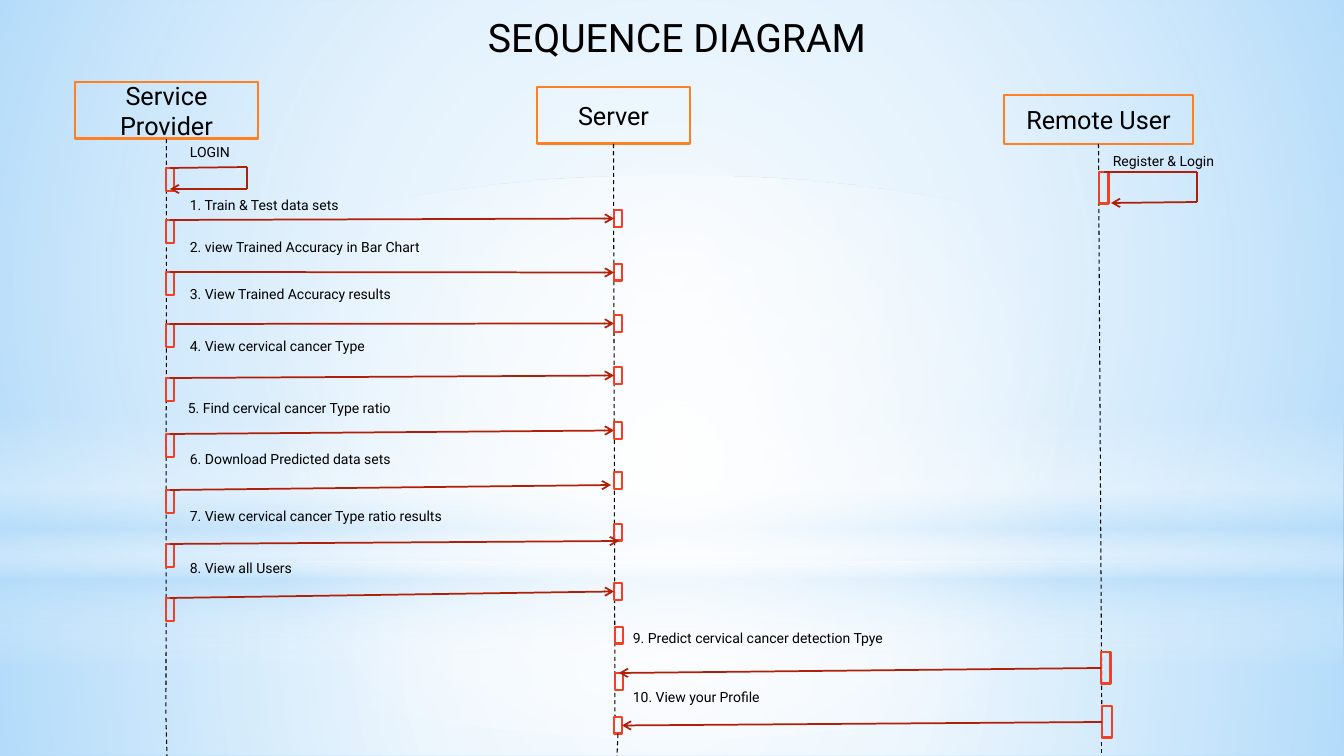
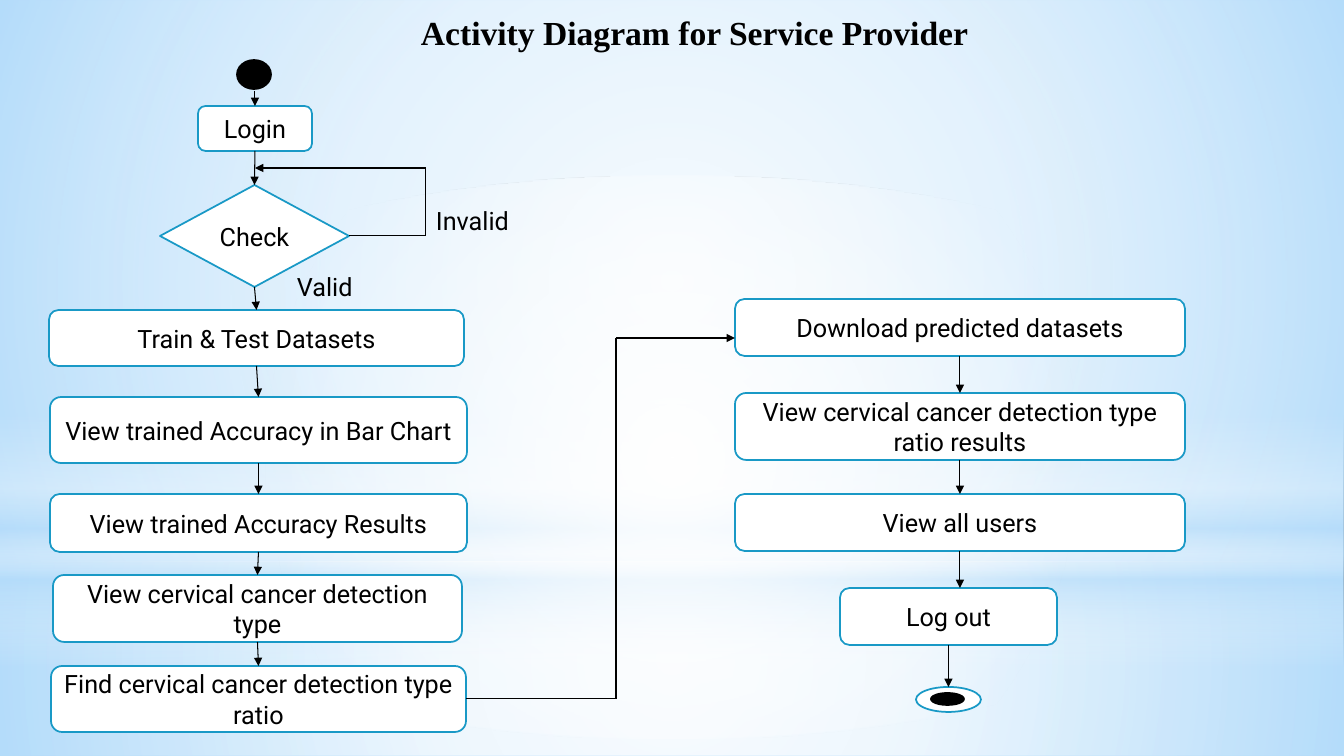
from lxml.etree import SubElement
from pptx import Presentation
from pptx.dml.color import RGBColor
from pptx.enum.dml import MSO_LINE
from pptx.enum.shapes import MSO_CONNECTOR, MSO_SHAPE as SHAPE
from pptx.enum.text import MSO_ANCHOR, MSO_AUTO_SIZE, PP_ALIGN
from pptx.oxml import parse_xml
from pptx.oxml.ns import nsdecls, qn
from pptx.util import Emu, Pt

WIDTH, HEIGHT = 1344, 756
TOP, LEFT, BOTTOM, RIGHT = range(4)


def px(n):
    return Emu(round(n * 914400 / 100.8))


def rgb(value):
    return RGBColor.from_string(value)


class Deck:
    font = "Roboto"
    ink, white, sky = "000000", "FFFFFF", "B4DCFA"
    header, bar_red, message_red, node_blue = "FF8021", "F14124", "B01F07", "1999C6"
    radial = ('<a:path path="circle"><a:fillToRect l="50000" t="50000" '
              'r="50000" b="50000"/></a:path>')
    vertical = '<a:lin ang="5400000" scaled="0"/>'

    def __init__(self):
        self.prs = Presentation()
        self.prs.slide_width, self.prs.slide_height = px(WIDTH), px(HEIGHT)
        self.s = None

    def slide(self):
        first = self.s is None
        self.s = self.prs.slides.add_slide(self.prs.slide_layouts[6])
        if first:
            self.backdrop()

    def backdrop(self):
        master = self.prs.slide_master
        fill = master.background.fill
        fill.solid()
        fill.fore_color.rgb = rgb(self.sky)
        w, b = self.white, self.sky
        layers = [
            (SHAPE.RECTANGLE, (0, 562, WIDTH, 194), self.radial,
             [(0, w, 91), (37, w, 76), (100, b, 79)]),
            (SHAPE.RECTANGLE, (0, 0, WIDTH, 562), self.radial,
             [(0, w, 89), (48, w, 62), (100, b, 79)]),
            (SHAPE.RECTANGLE, (0, 415, WIDTH, 252), self.vertical,
             [(0, w, 0), (29, w, 30), (45, b, 40), (55, w, 26), (65, b, 60), (100, w, 0)]),
            (SHAPE.OVAL, (0, 176, WIDTH, 562), self.radial,
             [(0, w, 100), (56, w, 0)]),
        ]
        for number, (kind, at, direction, stops) in enumerate(layers, 20):
            sp = self.shape(kind, at)
            stop_xml = "".join(
                f'<a:gs pos="{pos * 1000}"><a:srgbClr val="{color}">'
                f'<a:alpha val="{alpha * 1000}"/></a:srgbClr></a:gs>'
                for pos, color, alpha in stops)
            spPr = sp.element.spPr
            spPr.replace(spPr.find(qn("a:noFill")), parse_xml(
                f'<a:gradFill {nsdecls("a")} rotWithShape="1">'
                f'<a:gsLst>{stop_xml}</a:gsLst>{direction}</a:gradFill>'))
            sp.element.nvSpPr.cNvPr.set("id", str(number))
            master.shapes.element.append(sp.element)

    def add_text(self, tf, text, size, font=None, bold=False, align=PP_ALIGN.LEFT):
        tf.word_wrap = True
        p = tf.paragraphs[0]
        p.alignment = align
        r = p.add_run()
        r.text = text
        r.font.name, r.font.size, r.font.bold = font or self.font, Pt(size), bold
        r.font.color.rgb = rgb(self.ink)

    def text(self, at, text, size, font=None, bold=False):
        tf = self.s.shapes.add_textbox(*map(px, at)).text_frame
        tf.auto_size = MSO_AUTO_SIZE.SHAPE_TO_FIT_TEXT
        self.add_text(tf, text, size, font, bold)

    def shape(self, kind, at, text=None, fill=None, line=None, weight=1.25):
        sp = self.s.shapes.add_shape(kind, *map(px, at))
        sp.shadow.inherit = False
        if fill:
            sp.fill.solid()
            sp.fill.fore_color.rgb = rgb(fill)
        else:
            sp.fill.background()
        if line:
            sp.line.color.rgb = rgb(line)
            sp.line.width = Pt(weight)
        else:
            sp.line.fill.background()
        if text:
            sp.text_frame.vertical_anchor = MSO_ANCHOR.MIDDLE
            self.add_text(sp.text_frame, text, 18, align=PP_ALIGN.CENTER)
        return sp

    def bar(self, x, y, w, h):
        return self.shape(SHAPE.RECTANGLE, (x, y, w, h), line=self.bar_red, weight=2)

    def node(self, at, text, kind=SHAPE.ROUNDED_RECTANGLE):
        return self.shape(kind, at, text, self.white, self.node_blue)

    def connect(self, start, end, color, weight, head=None, dashed=False):
        c = self.s.shapes.add_connector(MSO_CONNECTOR.STRAIGHT, 0, 0, 0, 0)
        if isinstance(start[0], int):
            c.begin_x, c.begin_y = map(px, start)
        else:
            c.begin_connect(*start)
        if isinstance(end[0], int):
            c.end_x, c.end_y = map(px, end)
        else:
            c.end_connect(*end)
        c.line.color.rgb = rgb(color)
        c.line.width = Pt(weight)
        if dashed:
            c.line.dash_style = MSO_LINE.DASH
        spPr = c.element.spPr
        if head:
            SubElement(spPr.find(qn("a:ln")), qn("a:tailEnd"), type=head)
        SubElement(spPr, qn("a:effectLst"))

    def lifeline(self, start, end):
        self.connect(start, end, self.ink, 0.75, dashed=True)

    def route(self, points, color, weight, head):
        last = len(points) - 2
        for i, (start, end) in enumerate(zip(points, points[1:])):
            self.connect(start, end, color, weight, head if i == last else None)

    def message(self, *points):
        self.route(points, self.message_red, 1.25, "arrow")

    def flow(self, *points):
        self.route(points, self.ink, 0.75, "triangle")


def sequence_diagram(d):
    d.slide()
    d.text((478, 8, 597, 58), "SEQUENCE DIAGRAM", 28)

    actors = [
        ("Service Provider", (75, 82, 183, 57), (166, 714)),
        ("Server", (537, 87, 153, 57), (615, 716)),
        ("Remote User", (1004, 95, 189, 49), (1102, 738)),
    ]
    for name, at, foot in actors:
        box = d.shape(SHAPE.RECTANGLE, at, name, line=d.header, weight=2)
        d.lifeline((box, BOTTOM), foot)

    login = d.bar(166, 168, 8, 23)
    d.message((login, TOP), (247, 167), (247, 189), (170, 189))
    d.text((180, 139, 78, 27), "LOGIN", 10)

    register = d.bar(1099, 172, 10, 32)
    d.message((register, TOP), (1197, 172), (1197, 202), (1111, 203))
    d.text((1103, 148, 128, 27), "Register & Login", 10)

    provider_calls = [
        ("1. Train & Test data sets", 180, 192, 220, 210, None),
        ("2. view Trained Accuracy in Bar Chart", 180, 234, 272, 264, None),
        ("3. View Trained Accuracy results", 180, 281, 324, 315, None),
        ("4. View cervical cancer Type", 180, 333, 378, 367, None),
        ("5. Find cervical cancer Type ratio", 178, 395, 434, 422, None),
        ("6. Download Predicted data sets", 180, 446, 490, 472, (611, 485)),
        ("7. View cervical cancer Type ratio results", 180, 503, 544, 524, (619, 541)),
        ("8. View all Users", 180, 555, 598, 583, None),
    ]
    for label, x, y, provider_y, server_y, end in provider_calls:
        provider = d.bar(166, provider_y, 8, 23)
        server = d.bar(614, server_y, 8, 17)
        d.message((provider, TOP), end or (server, LEFT))
        d.text((x, y, 390, 27), label, 10)

    d.bar(615, 627, 8, 17)
    user_calls = [
        ("9. Predict cervical cancer detection Tpye", 625, (1101, 652), (615, 673), TOP),
        ("10. View your Profile", 684, (1102, 706), (614, 717), RIGHT),
    ]
    for label, y, user_at, server_at, side in user_calls:
        user = d.bar(*user_at, 10, 32)
        server = d.bar(*server_at, 8, 17)
        d.message((user, LEFT), (server, side))
        d.text((623, y, 330, 27), label, 10)

    d.lifeline((server, BOTTOM), (617, HEIGHT))
    d.lifeline((166, 718), (167, HEIGHT))
    d.lifeline((1102, 742), (1102, HEIGHT))


def activity_diagram(d):
    d.slide()
    d.text((411, 7, 780, 82), "Activity Diagram for Service Provider", 24,
           "Times New Roman", True)

    d.shape(SHAPE.OVAL, (237, 60, 34, 29), fill=d.ink, line=d.ink)
    login = d.node((198, 106, 114, 45), "Login")
    check = d.node((160, 185, 189, 102), "Check", SHAPE.DIAMOND)
    left_steps = [
        (49, 310, 415, 56, "Train & Test Datasets"),
        (50, 397, 417, 66, "View trained Accuracy in Bar Chart"),
        (50, 494, 417, 58, "View trained Accuracy Results"),
        (53, 575, 409, 67, "View cervical cancer detection type"),
        (51, 666, 415, 66, "Find cervical cancer detection type ratio"),
    ]
    right_steps = [
        (299, 57, "Download predicted datasets"),
        (393, 67, "View cervical cancer detection type ratio results"),
        (494, 57, "View all users"),
    ]
    left = [login, check] + [d.node(at, text) for *at, text in left_steps]
    right = [d.node((735, y, 450, h), text) for y, h, text in right_steps]
    logout = d.node((840, 588, 217, 57), "Log out")
    finish = d.node((916, 687, 65, 25), None, SHAPE.OVAL)
    d.shape(SHAPE.OVAL, (931, 693, 33, 12), fill=d.ink, line=d.ink)

    d.flow((255, 91), (login, TOP))
    for column in (left, right):
        for upper, lower in zip(column, column[1:]):
            d.flow((upper, BOTTOM), (lower, TOP))
    d.flow((right[-1], BOTTOM), (960, 588))
    d.flow((logout, BOTTOM), (finish, TOP))
    d.flow((check, RIGHT), (426, 236), (426, 168), (255, 168))
    d.flow((left[-1], RIGHT), (616, 699), (616, 338), (735, 338))

    d.text((287, 266, 78, 40), "Valid", 18)
    d.text((426, 200, 99, 40), "Invalid", 18)


def main():
    d = Deck()
    sequence_diagram(d)
    activity_diagram(d)
    d.prs.save("out.pptx")


if __name__ == "__main__":
    main()
